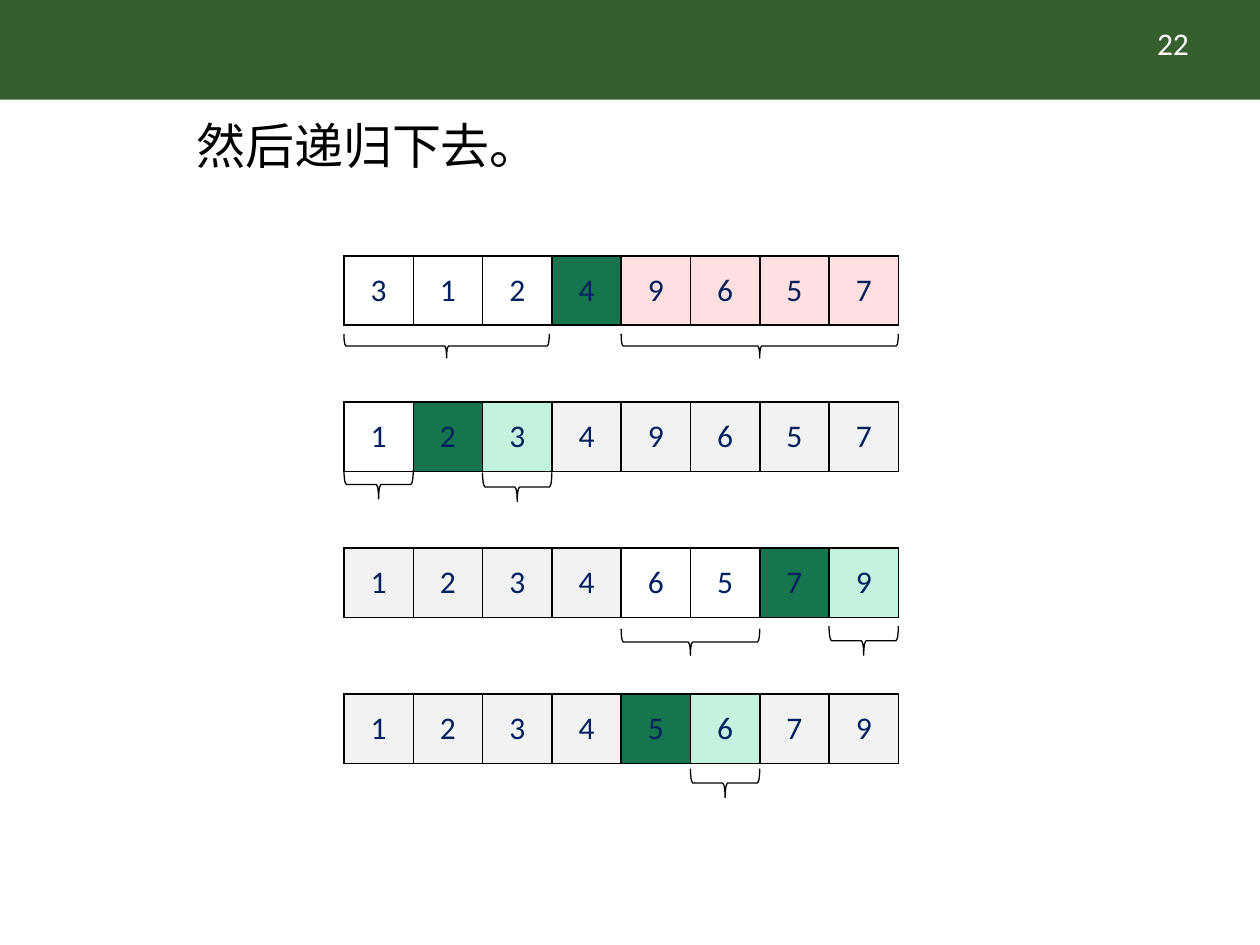
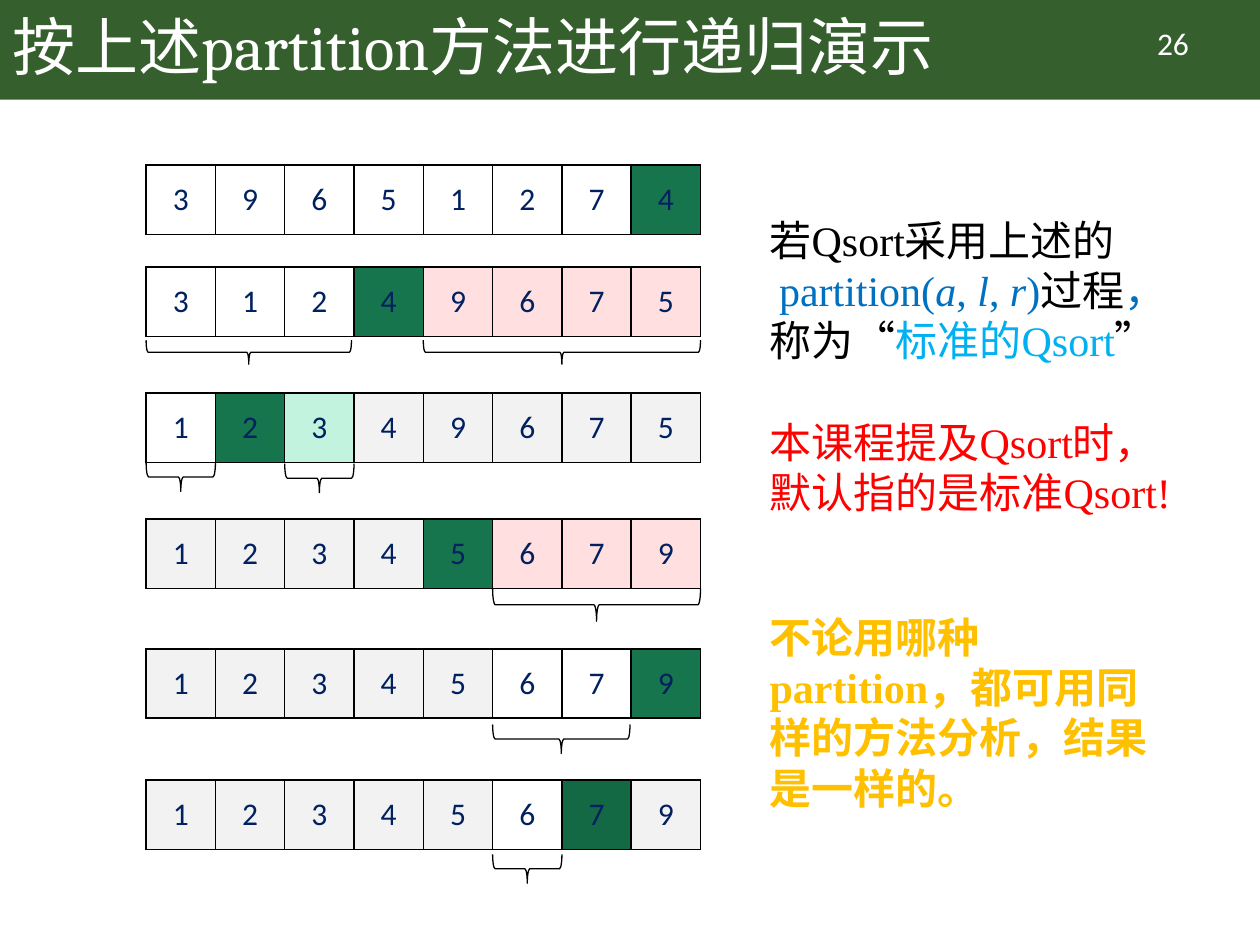
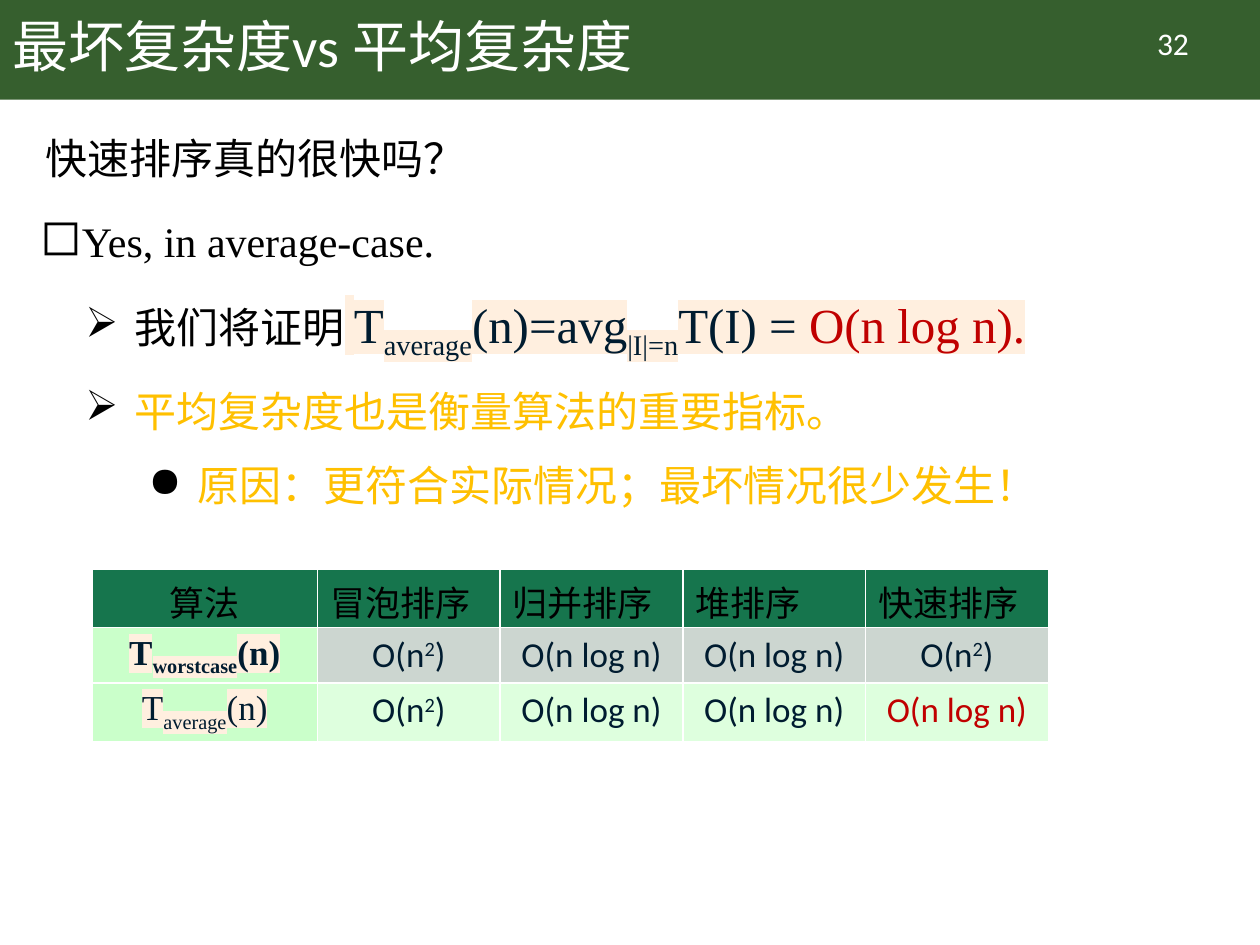
from dataclasses import dataclass
from typing import Optional

from lxml import etree
from pptx import Presentation
from pptx import util as u
from pptx.dml.color import RGBColor
from pptx.enum import shapes, text
from pptx.oxml import ns

Inches, Pt = u.Inches, u.Pt


# Theme: colours, fonts and type sizes
@dataclass(frozen=True)
class Theme:
    band: str = "365F2E"
    white: str = "FFFFFF"
    black: str = "000000"
    digit: str = "002060"
    pivot: str = "16754D"
    dark_pivot: str = "146945"
    larger: str = "FFDFDF"
    single: str = "C1F3DE"
    done: str = "F2F2F2"
    formula: str = "001C30"
    highlight: str = "FFEFDF"
    blue: str = "0070C0"
    sky: str = "00B0F0"
    red: str = "FF0000"
    dark_red: str = "C00000"
    gold: str = "FFC000"
    label_fill: str = "CAFFCA"
    worst_fill: str = "CCD6D0"
    average_fill: str = "DEFFDE"
    sans: str = "Calibri"
    serif: str = "Times New Roman"
    title_latin: str = "Cambria"
    title_size: int = 36
    subtitle_size: int = 32
    lead_size: int = 28
    body_size: int = 24
    table_size: int = 20
    small_size: int = 18


THEME = Theme()

# One letter for the state of each array cell
CELL_FILLS = {
    "w": THEME.white, "P": THEME.pivot, "D": THEME.dark_pivot,
    "L": THEME.larger, "s": THEME.single, "-": THEME.done,
}
CELL = 0.55


# Content records
@dataclass(frozen=True)
class Run:
    text: str
    color: Optional[str] = None
    size: Optional[int] = None
    font: Optional[str] = None
    italic: Optional[bool] = None
    baseline: int = 0
    highlight: bool = False


@dataclass(frozen=True)
class Line:
    runs: tuple[Run, ...]
    size: int = THEME.body_size
    font: str = THEME.serif
    color: str = THEME.black
    bold: Optional[bool] = None
    centered: bool = False
    spacing: Optional[float] = None
    before: int = 0
    level: int = 0
    margin: float = 0
    indent: float = 0
    bullet: str = ""
    bullet_scale: int = 100


@dataclass(frozen=True)
class Brace:
    column: int
    count: int
    gap: float
    depth: float = 0.23
    trim: float = 0


@dataclass(frozen=True)
class ArrayRow:
    top: float
    digits: str
    states: str
    braces: tuple[Brace, ...] = ()


@dataclass(frozen=True)
class Cell:
    line: Line
    fill: str


# Text
def add_xml(parent, tag: str, **attributes: str):
    return etree.SubElement(parent, ns.qn(tag), attributes)


def write_line(paragraph, line: Line) -> None:
    if line.centered:
        paragraph.alignment = text.PP_ALIGN.CENTER
    paragraph.level = line.level
    if line.spacing:
        paragraph.line_spacing = line.spacing
    if line.before:
        paragraph.space_before = Pt(line.before)
    properties = paragraph._p.get_or_add_pPr()
    if line.margin:
        properties.set("marL", str(Inches(line.margin)))
        properties.set("indent", str(Inches(line.indent)))
    if line.bullet:
        add_xml(add_xml(properties, "a:buClr"), "a:srgbClr", val=THEME.black)
        add_xml(properties, "a:buSzPct", val=str(line.bullet_scale * 1000))
        add_xml(properties, "a:buChar", char=line.bullet)
    font = paragraph.font
    font.name, font.size, font.bold = line.font, Pt(line.size), line.bold
    font.color.rgb = RGBColor.from_string(line.color)
    for run in line.runs:
        write_run(paragraph, run)


def write_run(paragraph, content: Run) -> None:
    if content.text == "\n":
        paragraph.add_line_break()
        return
    run = paragraph.add_run()
    run.text = content.text
    run.font.italic = content.italic
    if content.size:
        run.font.size = Pt(content.size)
    if content.color:
        run.font.color.rgb = RGBColor.from_string(content.color)
    properties = run._r.get_or_add_rPr()
    if content.baseline:
        properties.set("baseline", str(content.baseline * 1000))
    if content.highlight:
        add_xml(add_xml(properties, "a:highlight"), "a:srgbClr", val=THEME.highlight)
    if content.font:
        run.font.name = content.font


def add_text(slide, left: float, top: float, width: float, height: float,
             *lines: Line, wrap: bool = True, middle: bool = False) -> None:
    box = slide.shapes.add_textbox(Inches(left), Inches(top), Inches(width), Inches(height))
    frame = box.text_frame
    frame.word_wrap = wrap
    if middle:
        frame.vertical_anchor = text.MSO_ANCHOR.MIDDLE
    for index, line in enumerate(lines):
        write_line(frame.add_paragraph() if index else frame.paragraphs[0], line)


# Tables
def set_borders(cell, color: str, bottom_width: float = 1) -> None:
    properties = cell._tc.get_or_add_tcPr()
    widths = {"a:lnL": 1, "a:lnR": 1, "a:lnT": 1, "a:lnB": bottom_width}
    for index, (tag, width) in enumerate(widths.items()):
        border = etree.Element(ns.qn(tag), w=str(Pt(width)))
        add_xml(add_xml(border, "a:solidFill"), "a:srgbClr", val=color)
        properties.insert(index, border)


def add_grid(slide, left: float, top: float, widths: list[float], heights: list[float],
             rows: list[list[Cell]], border: str, bottoms: list[float],
             middle: bool = False) -> None:
    table = slide.shapes.add_table(
        len(rows), len(widths), Inches(left), Inches(top),
        Inches(sum(widths)), Inches(sum(heights))).table
    table.first_row = table.horz_banding = False
    for column, width in zip(table.columns, widths):
        column.width = Inches(width)
    for row, height, contents, bottom in zip(table.rows, heights, rows, bottoms):
        row.height = Inches(height)
        for cell, content in zip(row.cells, contents):
            cell.fill.solid()
            cell.fill.fore_color.rgb = RGBColor.from_string(content.fill)
            if middle:
                cell.vertical_anchor = text.MSO_ANCHOR.MIDDLE
            set_borders(cell, border, bottom)
            write_line(cell.text_frame.paragraphs[0], content.line)


# Array rows with braces below them
def add_brace(slide, left: float, top: float, width: float, depth: float) -> None:
    center_x, center_y = left + width / 2, top + depth / 2
    brace = slide.shapes.add_shape(
        shapes.MSO_SHAPE.LEFT_BRACE, Inches(center_x - depth / 2),
        Inches(center_y - width / 2), Inches(depth), Inches(width))
    brace.rotation = 270
    brace.shadow.inherit = False
    brace.fill.background()
    brace.line.color.rgb = RGBColor.from_string(THEME.black)
    brace.line.width = Pt(0.75)


def add_array(slide, left: float, row: ArrayRow) -> None:
    cells = [
        Cell(Line((Run(digit),), THEME.small_size, THEME.sans, THEME.digit, centered=True),
             CELL_FILLS[state])
        for digit, state in zip(row.digits, row.states)]
    add_grid(slide, left, row.top, [CELL] * len(cells), [CELL], [cells],
             THEME.black, [1], middle=True)
    for brace in row.braces:
        add_brace(slide, left + brace.column * CELL, row.top + CELL + brace.gap,
                  brace.count * CELL - brace.trim, brace.depth)


# Shared frame of every slide
def add_slide(presentation, number: int, title: tuple[Run, ...] = (),
              title_size: int = THEME.title_size):
    slide = presentation.slides.add_slide(presentation.slide_layouts[6])
    band = slide.shapes.add_shape(
        shapes.MSO_SHAPE.RECTANGLE, 0, 0, presentation.slide_width, Inches(0.79))
    band.shadow.inherit = False
    band.fill.solid()
    band.fill.fore_color.rgb = RGBColor.from_string(THEME.band)
    band.line.fill.background()
    if title:
        add_text(slide, 0, 0, 8.62, 0.79,
                 Line(title, title_size, THEME.sans, THEME.white, spacing=0.9), middle=True)
    add_text(slide, 8.71, 0.14, 1.2, 0.4,
             Line((Run(str(number)),), THEME.small_size, THEME.sans, THEME.white, centered=True))
    return slide


def build_recursion(presentation) -> None:
    slide = add_slide(presentation, 22)
    add_text(slide, 1.46, 0.87, 2.95, 0.57,
             Line((Run("然后递归下去。"),), THEME.lead_size, THEME.sans), wrap=False)
    steps = [
        ("31249657", "wwwPLLLL", (Brace(0, 3, 0.07, 0.19, 0.02), Brace(4, 4, 0.07, 0.19))),
        ("12349657", "wPs-----", (Brace(0, 1, -0.01), Brace(2, 1, 0.01))),
        ("12346579", "----wwPs", (Brace(4, 2, 0.09, 0.21), Brace(7, 1, 0.07))),
        ("12345679", "----Ps--", (Brace(5, 1, 0.04),)),
    ]
    for index, step in enumerate(steps):
        add_array(slide, 2.73, ArrayRow(2.03 + index * 1.16, *step))


def build_partition(presentation) -> None:
    slide = add_slide(presentation, 26, (
        Run("按上述"), Run("partition", font=THEME.title_latin), Run("方法进行递归演示")))
    rows = [
        ArrayRow(1.31, "39651274", "wwwwwwwP"),
        ArrayRow(2.12, "31249675", "wwwPLLLL",
                 (Brace(0, 3, 0.03, 0.19, 0.02), Brace(4, 4, 0.03, 0.19))),
        ArrayRow(3.12, "12349675", "wPs-----", (Brace(0, 1, 0), Brace(2, 1, 0.01))),
        ArrayRow(4.12, "12345679", "----PLLL", (Brace(5, 3, 0, 0.26),)),
        ArrayRow(5.15, "12345679", "-----wwP", (Brace(5, 2, 0.05, trim=0.01),)),
        ArrayRow(6.19, "12345679", "-----wD-", (Brace(5, 1, 0.04),)),
    ]
    for row in rows:
        add_array(slide, 1.16, row)

    # Remarks beside the arrays
    blue = THEME.blue
    add_text(
        slide, 6.01, 1.65, 3.45, 2.52,
        Line((Run("若Qsort采用上述的"), Run("\n"), Run(" partition(", blue),
              Run("a", blue, italic=True), Run(", ", blue), Run("l", blue, italic=True),
              Run(", ", blue), Run("r", blue, italic=True), Run(")", blue),
              Run("过程"), Run("，", blue))),
        Line((Run("称为“"), Run("标准的Qsort", THEME.sky), Run("”"))),
        Line((Run("本课程提及Qsort时，"),), color=THEME.red, before=29),
        Line((Run("默认指的是标准Qsort!"),), color=THEME.red))
    add_text(
        slide, 6.01, 4.8, 3.3, 1.31,
        Line((Run("不论用哪种partition，都可用同样的方法分析，结果是一样的。"),),
             color=THEME.gold, bold=True))


# Complexity table cells
def formula(content: str, **style) -> Run:
    return Run(content, THEME.formula, highlight=True, **style)


def measure_cell(subscript: str, bold: bool) -> Cell:
    runs = (formula("T"), formula(subscript, baseline=-25), formula("(n)"))
    return Cell(Line(runs, THEME.table_size, bold=bold, centered=True), THEME.label_fill)


def order_cell(order: str, fill: str, color: str = THEME.formula) -> Cell:
    runs = (Run("O(n"), Run("2", baseline=30), Run(")")) if order == "n2" else (Run(f"O({order})"),)
    return Cell(Line(runs, THEME.table_size, THEME.sans, color, centered=True), fill)


def build_complexity(presentation) -> None:
    slide = add_slide(presentation, 32, (Run("最坏复杂度vs 平均复杂度"),), THEME.subtitle_size)
    large = THEME.lead_size
    arrow = {"spacing": 1.3, "before": 5, "level": 1, "margin": 0.75,
             "indent": -0.39, "bullet": "➢"}
    add_text(
        slide, 0.22, 0.88, 9.57, 6.47,
        Line((Run("快速排序真的很快吗？"),), spacing=1.3, margin=0.04),
        Line((Run("Yes, in average-case."),), spacing=1.3, before=10, margin=0.25,
             indent=-0.39, bullet="◻", bullet_scale=120),
        Line((Run("我们将证明"), formula(" "), formula("T", size=large),
              formula("average", size=large, baseline=-25), formula("(n)=avg", size=large),
              formula("|I|=n", size=large, baseline=-25), formula("T(I) = ", size=large),
              Run("O(n log n).", THEME.dark_red, large, highlight=True)), **arrow),
        Line((Run("平均复杂度也是衡量算法的重要指标。"),), color=THEME.gold, **arrow),
        Line((Run("原因：更符合实际情况；最坏情况很少发生！"),), color=THEME.gold,
             **{**arrow, "level": 2, "margin": 1.25, "bullet": "●"}))

    # Worst case and average case for each sort
    widths = [1.79] + [1.45] * 4
    names = ["算法", "冒泡排序", "归并排序", "堆排序", "快速排序"]
    header = [Cell(Line((Run(name),), THEME.table_size, THEME.sans, centered=index == 0),
                   THEME.pivot) for index, name in enumerate(names)]
    worst = [measure_cell("worstcase", True)] + [
        order_cell(order, THEME.worst_fill) for order in ("n2", "n log n", "n log n", "n2")]
    average = [measure_cell("average", False)] + [
        order_cell(order, THEME.average_fill) for order in ("n2", "n log n", "n log n")]
    average.append(order_cell("n log n", THEME.average_fill, THEME.dark_red))
    add_grid(slide, 0.73, 4.52, widths, [0.46, 0.41], [header, worst], THEME.white, [1, 1])
    add_grid(slide, 0.73, 5.42, widths, [0.43], [average], THEME.white, [3])


def main() -> None:
    presentation = Presentation()
    presentation.slide_width, presentation.slide_height = Inches(10), Inches(7.5)
    build_recursion(presentation)
    build_partition(presentation)
    build_complexity(presentation)
    presentation.save("out.pptx")


if __name__ == "__main__":
    main()
